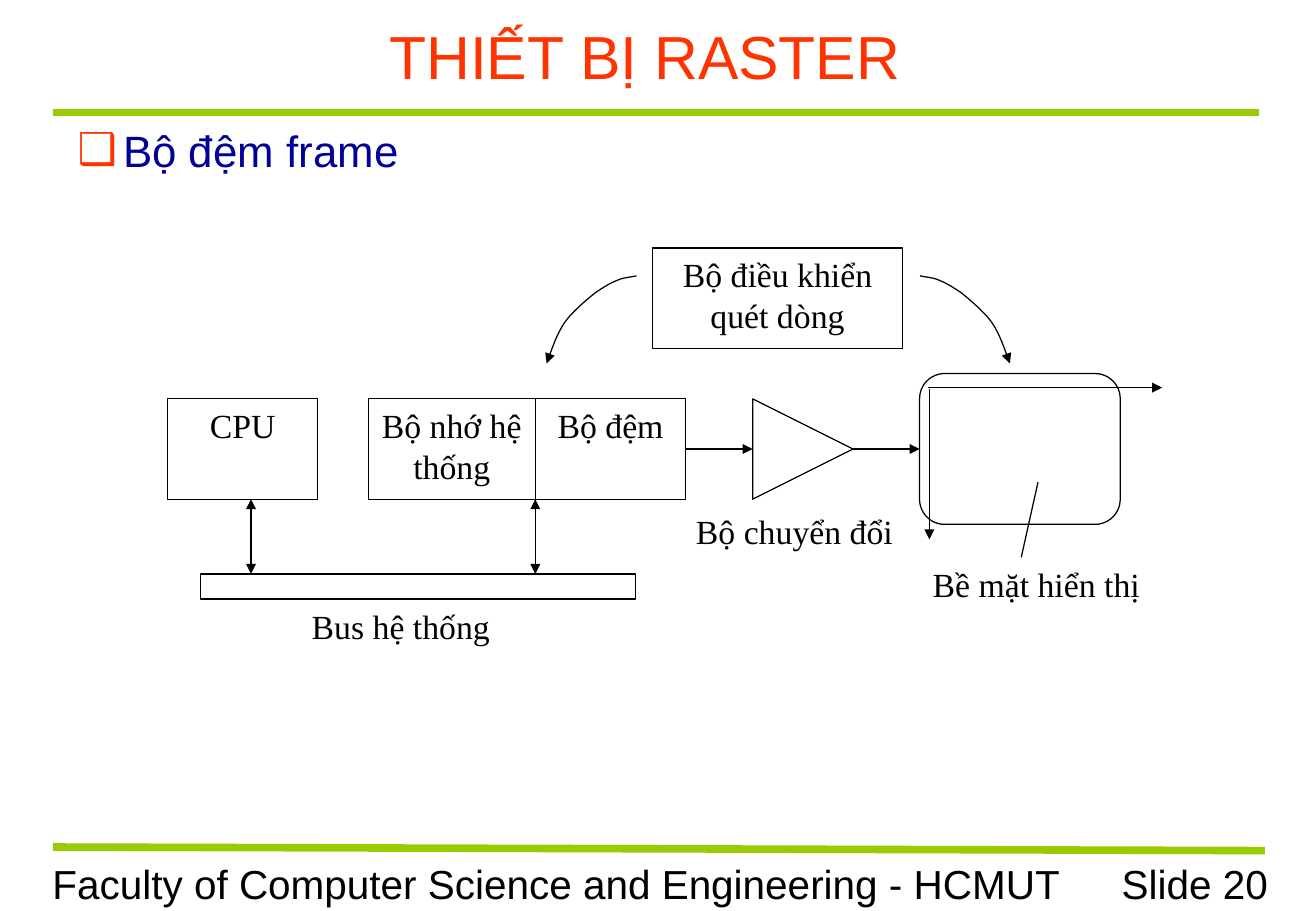
from lxml import etree
from pptx import Presentation
from pptx.dml.color import RGBColor
from pptx.enum.shapes import MSO_CONNECTOR, MSO_SHAPE
from pptx.enum.text import MSO_ANCHOR, MSO_AUTO_SIZE, PP_ALIGN
from pptx.oxml.ns import qn
from pptx.util import Pt

STRAIGHT = MSO_CONNECTOR.STRAIGHT
RECT, ROUNDED = MSO_SHAPE.RECTANGLE, MSO_SHAPE.ROUNDED_RECTANGLE
TRIANGLE = MSO_SHAPE.ISOSCELES_TRIANGLE
LEFT, CENTER, RIGHT = PP_ALIGN.LEFT, PP_ALIGN.CENTER, PP_ALIGN.RIGHT
TOP, MIDDLE = MSO_ANCHOR.TOP, MSO_ANCHOR.MIDDLE
NO_AUTOFIT = MSO_AUTO_SIZE.NONE

COLORS = {"ink": "000000", "paper": "FFFFFF", "title": "FF3300",
          "body": "000099", "rule": "99CC00"}
DIAGRAM_FONT = {"name": "Times New Roman", "size": Pt(20)}
FOOTER_FONT = {"name": "Arial", "size": Pt(24)}


def write(shape, text, font, color="ink", align=LEFT, anchor=TOP, before=0):
    frame = shape.text_frame
    frame_format = {"word_wrap": True, "auto_size": NO_AUTOFIT, "vertical_anchor": anchor,
                    "margin_left": Pt(7.2), "margin_right": Pt(7.2),
                    "margin_top": Pt(3.6), "margin_bottom": Pt(3.6)}
    for key, value in frame_format.items():
        setattr(frame, key, value)
    paragraph = frame.paragraphs[0]
    paragraph.alignment = align
    paragraph.space_before = Pt(before)
    run = paragraph.add_run()
    run.text = text
    for key, value in font.items():
        setattr(run.font, key, value)
    run.font.color.rgb = RGBColor.from_string(COLORS[color])


def stroke(item, color="ink", width=0.75, ends=()):
    """Set the line, its arrowheads (headEnd, tailEnd) and an empty effect list."""
    item.line.color.rgb = RGBColor.from_string(COLORS[color])
    item.line.width = Pt(width)
    properties = item._element.spPr
    for end in ends:
        etree.SubElement(properties.find(qn("a:ln")), qn(f"a:{end}"), type="triangle")
    if properties.find(qn("a:effectLst")) is None:
        etree.SubElement(properties, qn("a:effectLst"))


presentation = Presentation()
presentation.slide_width = Pt(780.48)
presentation.slide_height = Pt(540)
slide = presentation.slides.add_slide(presentation.slide_layouts[1])
shapes = slide.shapes

# Title and list
title, body = slide.placeholders
for placeholder, box in ((title, (24.1, 7.6, 717, 50.4)), (body, (38.9, 69.5, 702, 50.4))):
    placeholder.left, placeholder.top, placeholder.width, placeholder.height = map(Pt, box)
write(title, "THIẾT BỊ RASTER", {"name": "Arial", "size": Pt(36)}, "title", CENTER, MIDDLE)
write(body, "Bộ đệm frame", {"name": "Arial", "size": Pt(26)}, "body", before=6.5)
bullet = body.text_frame.paragraphs[0]._p.get_or_add_pPr()
bullet.set("marL", str(Pt(27)))
bullet.set("indent", str(Pt(-27)))
bullet_color = etree.SubElement(bullet, qn("a:buClr"))
etree.SubElement(bullet_color, qn("a:srgbClr"), val=COLORS["title"])
etree.SubElement(bullet, qn("a:buChar"), char="❑")

# Footer and green rules
for text, left, width, align in (
        ("Slide 20", 615.8, 143.3, RIGHT),
        ("Faculty of Computer Science and Engineering - HCMUT", 24, 613.4, LEFT)):
    footer = shapes.add_textbox(Pt(left), Pt(505.4), Pt(width), Pt(36))
    write(footer, text, FOOTER_FONT, align=align, before=15)
for ends in ((31.5, 66.8, 746.6, 66.8), (31.5, 502.1, 750.2, 504.2)):
    rule = shapes.add_connector(STRAIGHT, *map(Pt, ends))
    stroke(rule, "rule", 4.5)

# Diagram blocks
ROW_TOP, ROW_HEIGHT = 236.4, 59.5
ROW_BOTTOM, ROW_MIDDLE = ROW_TOP + ROW_HEIGHT, ROW_TOP + ROW_HEIGHT / 2
BUFFER_LEFT, BUFFER_WIDTH = 317.5, 89.2
CONVERTER_LEFT, SCREEN_LEFT, BUS_TOP = 446.4, 545.4, 340.2
blocks = {}
for name, kind, left, top, width, height, text in (
        ("cpu", RECT, 99.3, ROW_TOP, BUFFER_WIDTH, ROW_HEIGHT, "CPU"),
        ("memory", RECT, 218.4, ROW_TOP, 99.1, ROW_HEIGHT, "Bộ nhớ hệ thống"),
        ("buffer", RECT, BUFFER_LEFT, ROW_TOP, BUFFER_WIDTH, ROW_HEIGHT, "Bộ đệm"),
        ("converter", TRIANGLE, CONVERTER_LEFT, ROW_TOP, ROW_HEIGHT, ROW_HEIGHT, ""),
        ("screen", ROUNDED, SCREEN_LEFT, ROW_MIDDLE - 44.7, 119, 89.4, ""),
        ("controller", RECT, 386.9, 147, 148.6, ROW_HEIGHT, "Bộ điều khiển quét dòng"),
        ("bus", RECT, 118.9, BUS_TOP, 257.8, 14.9, "")):
    block = shapes.add_shape(kind, Pt(left), Pt(top), Pt(width), Pt(height))
    block.shadow.inherit = False
    block.fill.solid()
    block.fill.fore_color.rgb = RGBColor.from_string(COLORS["paper"])
    stroke(block)
    if text:
        write(block, text, DIAGRAM_FONT, align=CENTER)
    blocks[name] = block
blocks["converter"].rotation = 90

# Captions
for text, left, top, width in (("Bộ chuyển đổi", 405.7, 299.2, 148.3),
                               ("Bus hệ thống", 177.8, 355.3, 128.9),
                               ("Bề mặt hiển thị", 546.1, 330.4, 148.3)):
    caption = shapes.add_textbox(Pt(left), Pt(top), Pt(width), Pt(41))
    write(caption, text, DIAGRAM_FONT)

# Straight lines: ends, arrowheads, joined blocks
ONE_WAY, TWO_WAY = ("tailEnd",), ("headEnd", "tailEnd")
for ends, heads, source, target in (
        ((BUFFER_LEFT + BUFFER_WIDTH, ROW_MIDDLE, CONVERTER_LEFT, ROW_MIDDLE),
         ONE_WAY, "buffer", None),
        ((CONVERTER_LEFT + ROW_HEIGHT, ROW_MIDDLE, SCREEN_LEFT, ROW_MIDDLE),
         ONE_WAY, None, "screen"),
        ((550.2, 229.8, 689.2, 229.8), ONE_WAY, None, None),
        ((551.2, 230.4, 551.2, 319.8), ONE_WAY, None, None),
        ((148.9, ROW_BOTTOM, 148.9, BUS_TOP), TWO_WAY, None, None),
        ((BUFFER_LEFT, ROW_BOTTOM, BUFFER_LEFT, BUS_TOP), TWO_WAY, None, None),
        ((605.7, 330.4, 615.6, 285.9), (), None, None)):
    link = shapes.add_connector(STRAIGHT, *map(Pt, ends))
    if source:
        link.begin_connect(blocks[source], 3)
    if target:
        link.end_connect(blocks[target], 1)
    stroke(link, ends=heads)

# Scan arrows: one chain of cubic curves and its mirror image
SCAN_CHAIN = ((377.5, 163.5), (375.3, 164.2), (369.6, 164.4), (366, 166.2),
              (361.6, 167.9), (357.3, 170.7), (353, 173.6),
              (349.4, 176.5), (345.1, 180.1), (341.5, 183.7),
              (337.9, 187.3), (335, 190.2), (332.1, 195.9),
              (329.2, 201), (325.6, 211.8), (324.2, 215.4))
MIRROR_AXIS, STEPS = 461.6, 6
scan_points = []
for first in range(0, len(SCAN_CHAIN) - 1, 3):
    controls = SCAN_CHAIN[first:first + 4]
    for step in range(1, STEPS + 1):
        t = step / STEPS
        weights = ((1 - t) ** 3, 3 * t * (1 - t) ** 2, 3 * t ** 2 * (1 - t), t ** 3)
        scan_points.append([sum(w * point[axis] for w, point in zip(weights, controls))
                            for axis in (0, 1)])
for side in (1, -1):
    start, *curve = [(Pt(MIRROR_AXIS + side * (x - MIRROR_AXIS)), Pt(y))
                     for x, y in [SCAN_CHAIN[0], *scan_points]]
    builder = shapes.build_freeform(*start)
    builder.add_line_segments(curve, close=False)
    scan_arrow = builder.convert_to_shape()
    scan_arrow.shadow.inherit = False
    scan_arrow.fill.background()
    stroke(scan_arrow, ends=ONE_WAY)

presentation.save("out.pptx")
